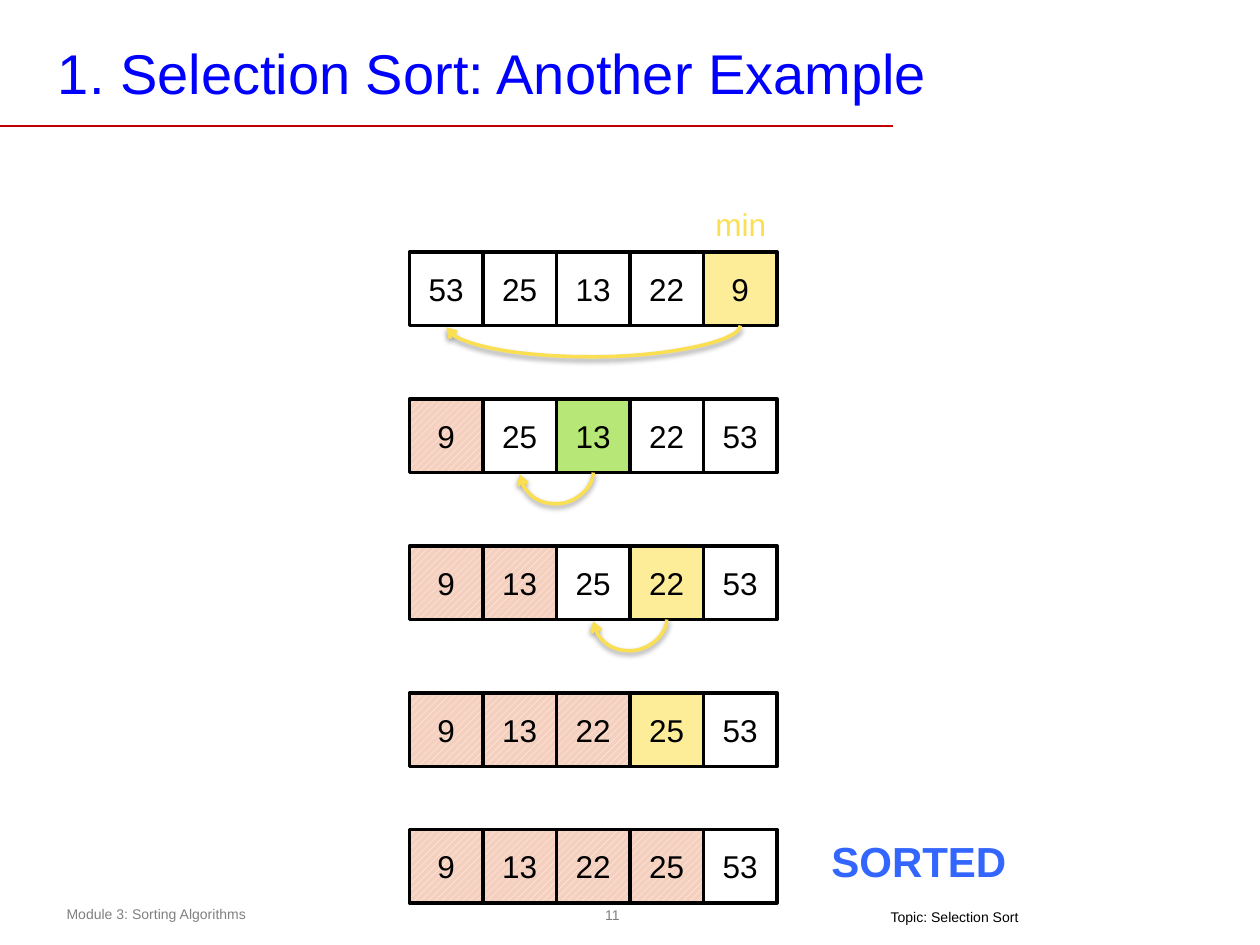
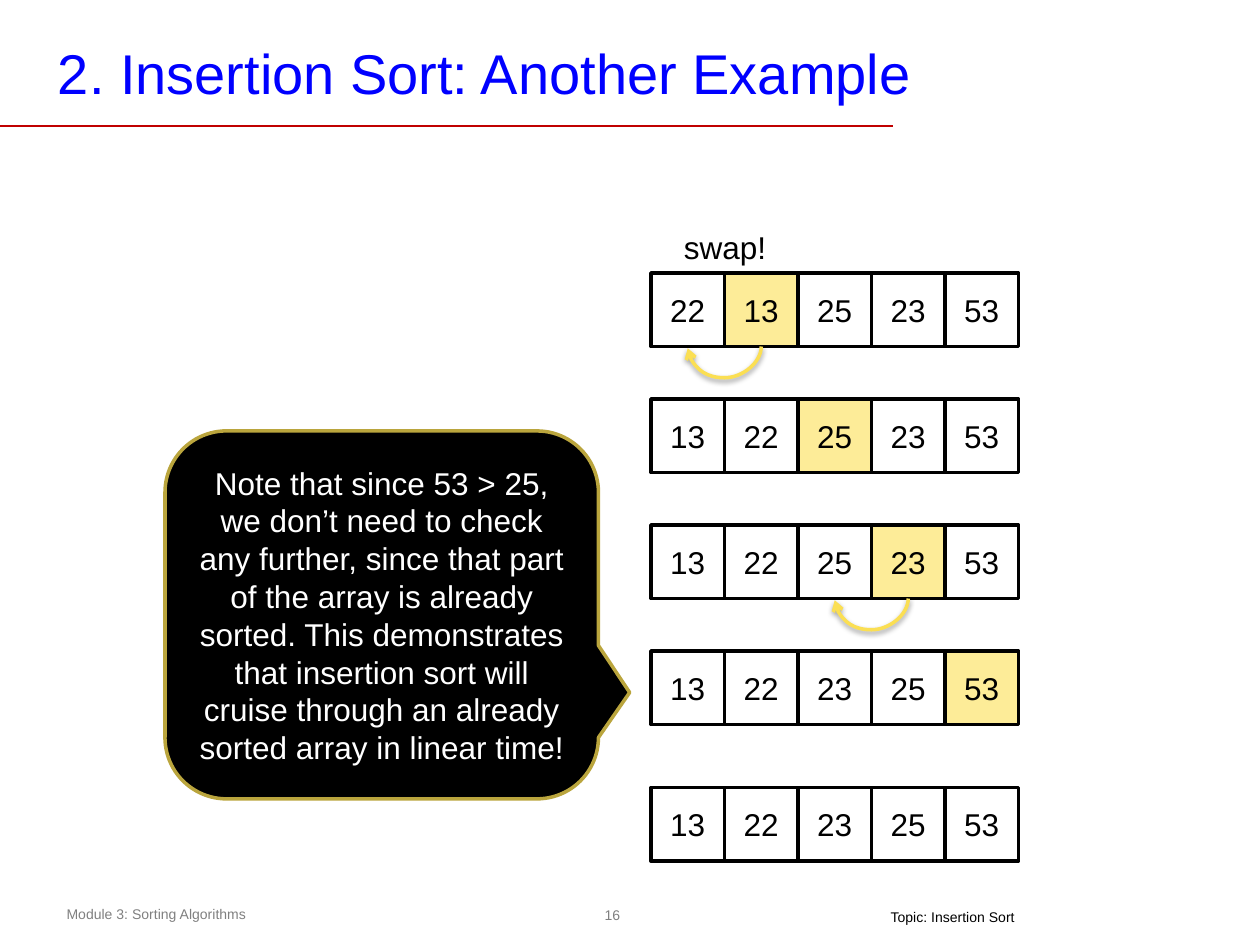
from lxml import etree
from pptx import Presentation, util as u
from pptx.dml.color import RGBColor
from pptx.enum import dml, shapes, text
from pptx.oxml import parse_xml
from pptx.oxml.ns import nsdecls, qn

BLUE = RGBColor(0x00, 0x00, 0xFF)
RED = RGBColor(0xC0, 0x00, 0x00)
GREY = RGBColor(0x80, 0x80, 0x80)
BLACK = RGBColor(0x00, 0x00, 0x00)
WHITE = RGBColor(0xFF, 0xFF, 0xFF)
YELLOW = RGBColor(0xFD, 0xEC, 0x98)
GREEN = RGBColor(0xB7, 0xE7, 0x76)
PEACH = RGBColor(0xF5, 0xD0, 0xBE)
GOLD = RGBColor(0xFB, 0xDF, 0x53)
DARK_GOLD = RGBColor(0xBA, 0xA5, 0x3D)
SKY = RGBColor(0x33, 0x66, 0xFF)

FONT = "Arial"
MODULE = "Module 3: Sorting Algorithms"
UNIT = 1 / 12   # grid step in inches
CELL = 7        # side of an array cell, in grid steps
ARC_RISE, ARC_DEPTH = 1 / 72, 0.25
TIGHT = (0.1, 0, 0.1, 0.04)

# Each step: top in grid steps, values, count of sorted cells,
# current cell with its colour, cell that it swaps with
SLIDES = [
    dict(
        title="1. Selection Sort: Another Example", number="11",
        topic="Topic: Selection Sort", left=39,
        steps=[
            (24, (53, 25, 13, 22, 9), 0, (4, YELLOW), 0),
            (38, (9, 25, 13, 22, 53), 1, (2, GREEN), 1),
            (52, (9, 13, 25, 22, 53), 2, (3, YELLOW), 2),
            (66, (9, 13, 22, 25, 53), 3, (3, YELLOW), None),
            (79, (9, 13, 22, 25, 53), 4, None, None),
        ],
        labels=[("min", (5.58, 1.58, 0.61, 0.4), 18, GOLD, False),
                ("SORTED", (6.5, 6.58, 1.92, 0.5), 24, SKY, True)],
    ),
    dict(
        title="2. Insertion Sort: Another Example", number="16",
        topic="Topic: Insertion Sort", left=62,
        steps=[
            (26, (22, 13, 25, 23, 53), 0, (1, YELLOW), 0),
            (38, (13, 22, 25, 23, 53), 0, (2, YELLOW), None),
            (50, (13, 22, 25, 23, 53), 0, (3, YELLOW), 2),
            (62, (13, 22, 23, 25, 53), 0, (4, YELLOW), None),
            (75, (13, 22, 23, 25, 53), 0, None, None),
        ],
        labels=[("swap!", (5.33, 1.76, 0.86, 0.4), 18, BLACK, False)],
        note="Note that since 53 > 25, we don’t need to check any further, "
             "since that part of the array is already sorted. This "
             "demonstrates that insertion sort will cruise through an "
             "already sorted array in linear time!",
    ),
]


def inches(*lengths):
    return [u.Inches(n) for n in lengths]


def write(sp, words, size, color, bold=False, centred=False, wrap=True,
          insets=(0.1, 0.05, 0.1, 0.05)):
    tf = sp.text_frame
    tf.word_wrap = wrap
    (tf.margin_left, tf.margin_top,
     tf.margin_right, tf.margin_bottom) = inches(*insets)
    p = tf.paragraphs[0]
    p.alignment = text.PP_ALIGN.LEFT
    if centred:
        p.alignment = text.PP_ALIGN.CENTER
        tf.vertical_anchor = text.MSO_ANCHOR.MIDDLE
    r = p.add_run()
    r.text = words
    r.font.name, r.font.size, r.font.bold = FONT, u.Pt(size), bold
    r.font.color.rgb = color


def add_text(s, box, words, size, color, **style):
    write(s.shapes.add_textbox(*inches(*box)), words, size, color, **style)


def add_box(parent, kind, box, line):
    sp = parent.shapes.add_shape(kind, *inches(*box))
    sp.shadow.inherit = False
    sp.line.color.rgb, sp.line.width = line, u.Pt(2)
    return sp


def add_frame(s, title, number, topic):
    """Title, rule and footers shared by all slides."""
    rule = s.shapes.add_connector(shapes.MSO_CONNECTOR.STRAIGHT,
                                  *inches(0, 1, 7.09, 1))
    rule.line.color.rgb, rule.line.width = RED, u.Pt(1)
    etree.SubElement(rule._element.spPr, qn("a:effectLst"))
    add_text(s, (0.39, 0.28, 7.42, 0.6), title, 32, BLUE,
             insets=(0.07, 0.03, 0.07, 0.03))
    add_text(s, (0.43, 7.14, 3.64, 0.24), MODULE, 8, GREY)
    add_text(s, (4.74, 7.13, 0.24, 0.26), number, 8, GREY, centred=True,
             wrap=False, insets=(0.04,) * 4)
    add_text(s, (6.97, 7.21, 1.24, 0.17), topic, 8, BLACK, wrap=False,
             insets=TIGHT)


def add_array(s, left, top, values, done, current):
    row = s.shapes.add_group_shape()
    for i, value in enumerate(values):
        box = [n * UNIT for n in (left + i * CELL, top, CELL, CELL)]
        sp = add_box(row, shapes.MSO_SHAPE.RECTANGLE, box, BLACK)
        if i < done:
            sp.fill.patterned()
            sp.fill.pattern = dml.MSO_PATTERN.WIDE_UPWARD_DIAGONAL
            sp.fill.fore_color.rgb, sp.fill.back_color.rgb = WHITE, PEACH
        else:
            sp.fill.solid()
            is_current = current and i == current[0]
            sp.fill.fore_color.rgb = current[1] if is_current else WHITE
        write(sp, str(value), 18, BLACK, centred=True)


def add_swap_arc(s, left, top, source, target):
    """Curved arrow below a row, a quarter turn of a tall thin connector."""
    span = (source - target) * CELL * UNIT
    x = (left + (source + target + 1) * CELL / 2) * UNIT
    y = (top + CELL) * UNIT + ARC_RISE / 2
    arc = s.shapes.add_connector(
        shapes.MSO_CONNECTOR.CURVE,
        *inches(x - ARC_RISE / 2, y - span / 2, x + ARC_RISE / 2, y + span / 2))
    arc.rotation = 90
    arc.line.color.rgb, arc.line.width = GOLD, u.Pt(2)
    spPr = arc._element.spPr
    bend = round(ARC_DEPTH / ARC_RISE * 100000)
    etree.SubElement(spPr.find(".//" + qn("a:avLst")), qn("a:gd"),
                     name="adj1", fmla=f"val {bend}")
    etree.SubElement(arc.line._get_or_add_ln(), qn("a:tailEnd"), type="arrow")
    spPr.append(parse_xml(
        f'<a:effectLst {nsdecls("a")}><a:outerShdw blurRad="40000" '
        'dist="20000" dir="5400000" rotWithShape="0"><a:srgbClr val="000000">'
        '<a:alpha val="38000"/></a:srgbClr></a:outerShdw></a:effectLst>'))


def add_note(s, words):
    sp = add_box(s, shapes.MSO_SHAPE.ROUNDED_RECTANGULAR_CALLOUT,
                 (1.31, 3.42, 3.44, 2.92), DARK_GOLD)
    for i, share in enumerate((0.572, 0.211, 0.167)):
        sp.adjustments[i] = share
    sp.fill.solid()
    sp.fill.fore_color.rgb = BLACK
    write(sp, words, 18, WHITE, centred=True)


def main():
    prs = Presentation()
    prs.slide_width, prs.slide_height = inches(10, 7.5)
    for content in SLIDES:
        s = prs.slides.add_slide(prs.slide_layouts[6])
        add_frame(s, content["title"], content["number"], content["topic"])
        left = content["left"]
        for top, values, done, current, target in content["steps"]:
            add_array(s, left, top, values, done, current)
            if target is not None:
                add_swap_arc(s, left, top, current[0], target)
        for words, box, size, color, bold in content["labels"]:
            add_text(s, box, words, size, color, bold=bold, wrap=bold)
        if "note" in content:
            add_note(s, content["note"])
    prs.save("out.pptx")


if __name__ == "__main__":
    main()
